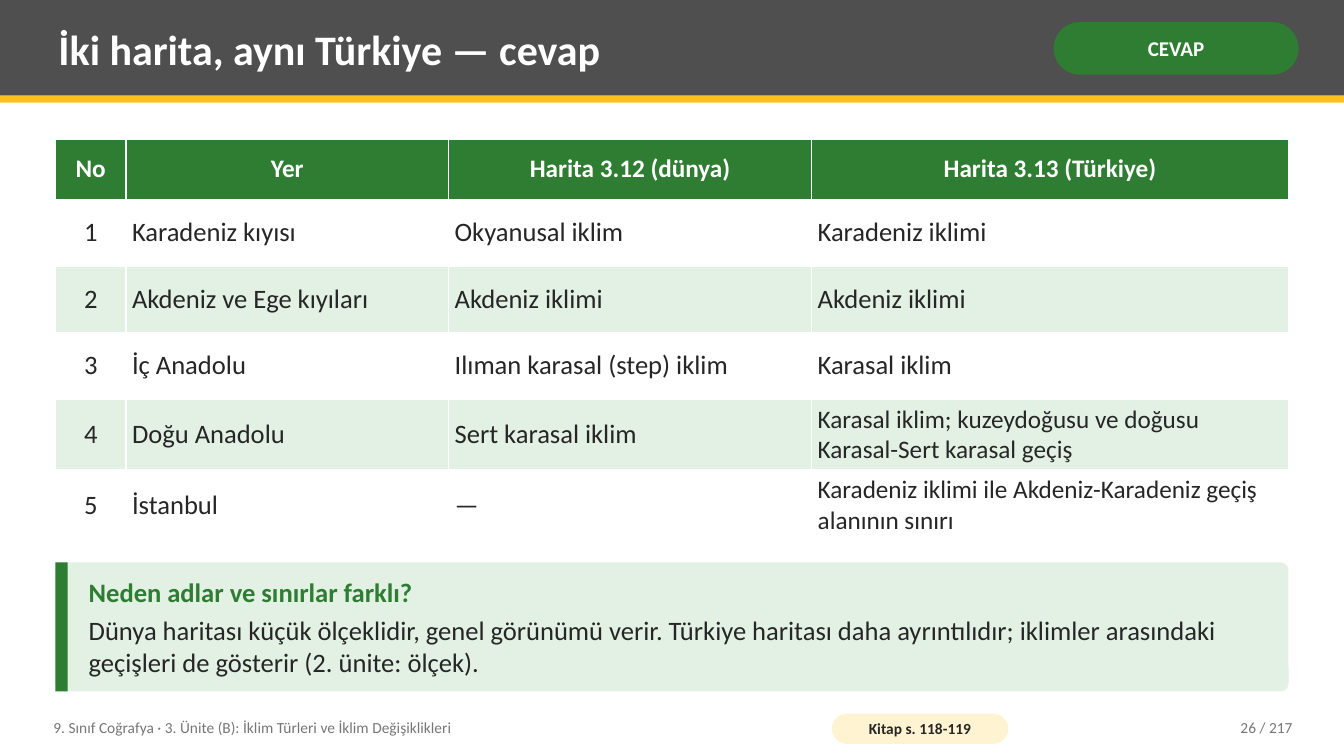
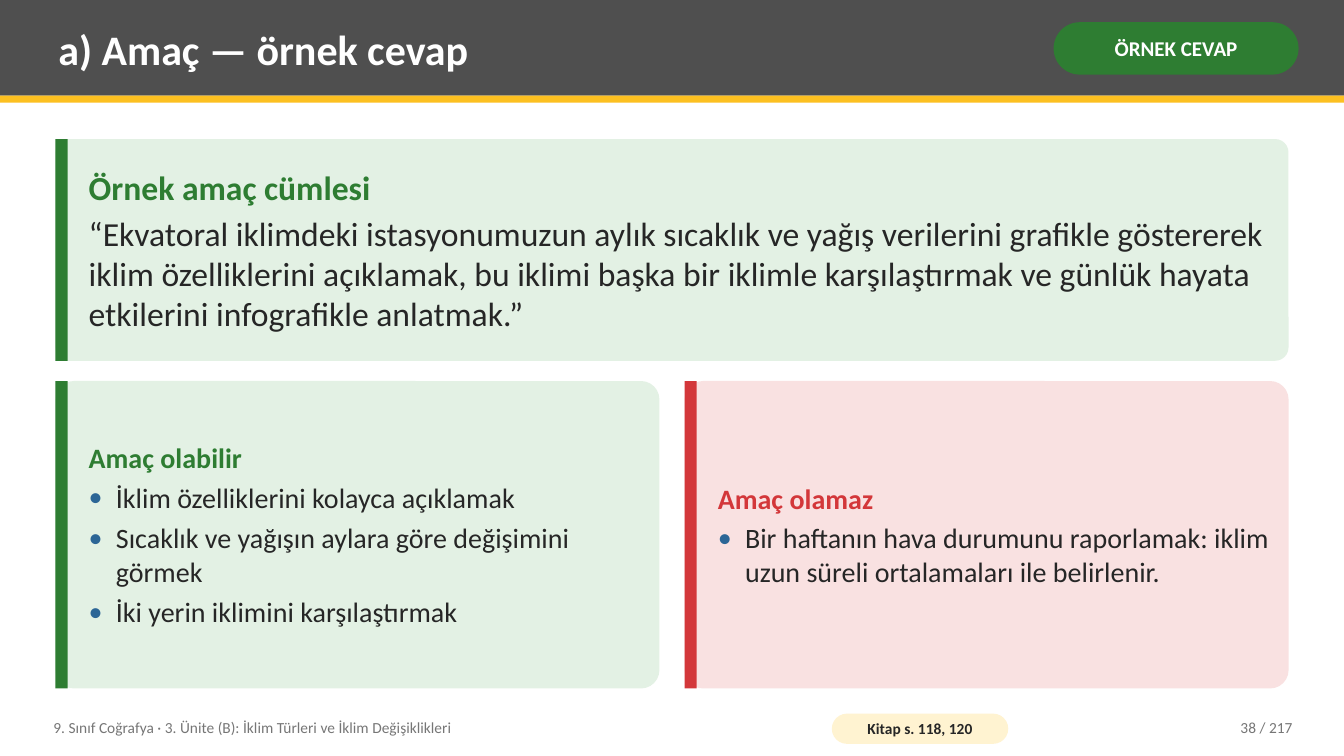
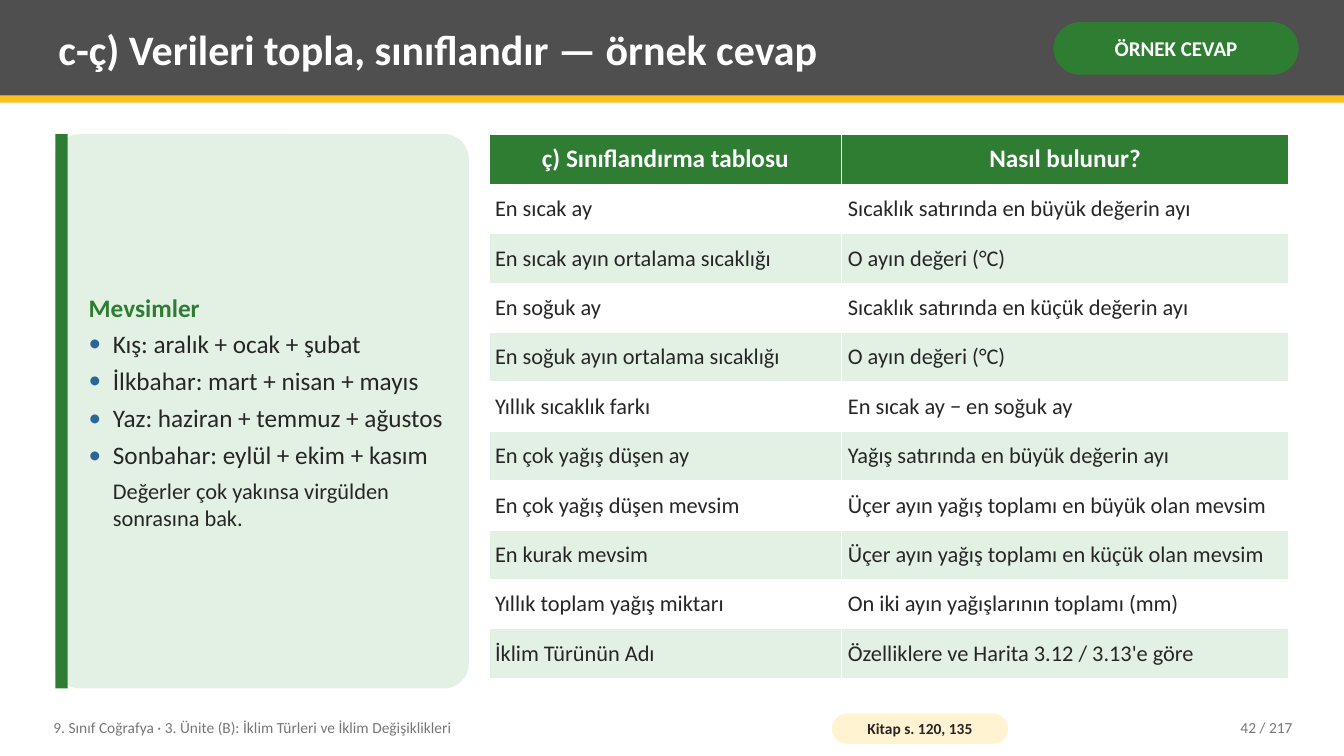
from dataclasses import dataclass

from lxml import etree
from pptx import Presentation
from pptx.dml.color import RGBColor
from pptx.enum.shapes import MSO_SHAPE
from pptx.enum.text import MSO_ANCHOR, PP_ALIGN
from pptx.oxml.ns import qn
from pptx.util import Emu, Pt

RECT, ROUNDED = MSO_SHAPE.RECTANGLE, MSO_SHAPE.ROUNDED_RECTANGLE
MIDDLE = MSO_ANCHOR.MIDDLE
LEFT, CENTER, RIGHT = PP_ALIGN.LEFT, PP_ALIGN.CENTER, PP_ALIGN.RIGHT


@dataclass(frozen=True)
class Theme:
    font: str = "Calibri"
    white: str = "FFFFFF"
    band: str = "4F4F4F"
    accent: str = "FCC021"
    ink: str = "262626"
    muted: str = "767676"
    bullet: str = "2C6696"
    green: str = "2E7D32"
    pale_green: str = "E3F1E4"
    red: str = "D3373A"
    pale_red: str = "F9E1E1"
    pale_yellow: str = "FFF3D1"
    title_size: int = 30
    badge_size: int = 15
    header_size: int = 18
    long_cell_size: int = 18
    note_size: int = 16
    footer_size: int = 11


THEME = Theme()
TONES = {"good": (THEME.green, THEME.pale_green), "bad": (THEME.red, THEME.pale_red)}

# Layout in px, 100 to the inch
EMU_PER_PX = 9144
SLIDE_W, SLIDE_H = 1333, 750
MARGIN, CONTENT_W = 55, 1223
COLUMN_GAP, TABLE_GAP = 25, 20
HALF_W = (CONTENT_W - COLUMN_GAP) // 2
SEASONS_W = 410
TEXT_INSETS, BADGE_INSETS = (8, 4), (5, 2)
PAGE_REF_INSETS, CELL_INSETS = (4, 0), (6, 5)
STRIPE_W = 12
CARD_RADIUS = 0.06
LONG_CELL = 50  # characters; longer cells use the smaller size
CELL_BORDER_PT = 0.96

# Content
COURSE = "9. Sınıf Coğrafya · 3. Ünite (B): İklim Türleri ve İklim Değişiklikleri"
PAGE_COUNT = 217

SLIDES = [
    {
        "title": "İki harita, aynı Türkiye — cevap",
        "badge": "CEVAP", "pages": "118-119", "number": 26,
        "tables": [{
            "at": (MARGIN, 138), "columns": (70, 320, 360, 473),
            "header_h": 60, "row_h": 66, "size": 19, "centered": {0},
            "rows": [
                ("No", "Yer", "Harita 3.12 (dünya)", "Harita 3.13 (Türkiye)"),
                ("1", "Karadeniz kıyısı", "Okyanusal iklim", "Karadeniz iklimi"),
                ("2", "Akdeniz ve Ege kıyıları", "Akdeniz iklimi", "Akdeniz iklimi"),
                ("3", "İç Anadolu", "Ilıman karasal (step) iklim", "Karasal iklim"),
                ("4", "Doğu Anadolu", "Sert karasal iklim",
                 "Karasal iklim; kuzeydoğusu ve doğusu Karasal-Sert karasal geçiş"),
                ("5", "İstanbul", "—",
                 "Karadeniz iklimi ile Akdeniz-Karadeniz geçiş alanının sınırı"),
            ],
        }],
        "cards": [{
            "at": (MARGIN, 558, CONTENT_W, 128), "tone": "good", "size": 19,
            "heading": "Neden adlar ve sınırlar farklı?",
            "body": "Dünya haritası küçük ölçeklidir, genel görünümü verir. "
                    "Türkiye haritası daha ayrıntılıdır; iklimler arasındaki "
                    "geçişleri de gösterir (2. ünite: ölçek).",
        }],
    },
    {
        "title": "a) Amaç — örnek cevap",
        "badge": "ÖRNEK CEVAP", "pages": "118, 120", "number": 38,
        "cards": [
            {
                "at": (MARGIN, 138, CONTENT_W, 220), "tone": "good", "size": 24,
                "heading": "Örnek amaç cümlesi",
                "body": "“Ekvatoral iklimdeki istasyonumuzun aylık sıcaklık ve yağış "
                        "verilerini grafikle göstererek iklim özelliklerini açıklamak, "
                        "bu iklimi başka bir iklimle karşılaştırmak ve günlük hayata "
                        "etkilerini infografikle anlatmak.”",
            },
            {
                "at": (MARGIN, 378, HALF_W, 305), "tone": "good", "size": 20,
                "heading": "Amaç olabilir",
                "bullets": ["İklim özelliklerini kolayca açıklamak",
                            "Sıcaklık ve yağışın aylara göre değişimini görmek",
                            "İki yerin iklimini karşılaştırmak"],
            },
            {
                "at": (MARGIN + HALF_W + COLUMN_GAP, 378, HALF_W, 305),
                "tone": "bad", "size": 20,
                "heading": "Amaç olamaz",
                "bullets": ["Bir haftanın hava durumunu raporlamak: iklim uzun "
                            "süreli ortalamaları ile belirlenir."],
            },
        ],
    },
    {
        "title": "c-ç) Verileri topla, sınıflandır — örnek cevap",
        "badge": "ÖRNEK CEVAP", "pages": "120, 135", "number": 42,
        "cards": [{
            "at": (MARGIN, 133, SEASONS_W, 550), "tone": "good", "size": 18,
            "heading": "Mevsimler",
            "bullets": ["Kış: aralık + ocak + şubat",
                        "İlkbahar: mart + nisan + mayıs",
                        "Yaz: haziran + temmuz + ağustos",
                        "Sonbahar: eylül + ekim + kasım"],
            "note": "Değerler çok yakınsa virgülden sonrasına bak.",
        }],
        "tables": [{
            "at": (MARGIN + SEASONS_W + TABLE_GAP, 133), "columns": (350, 443),
            "header_h": 50, "row_h": 49, "size": 16, "centered": set(),
            "rows": [
                ("ç) Sınıflandırma tablosu", "Nasıl bulunur?"),
                ("En sıcak ay", "Sıcaklık satırında en büyük değerin ayı"),
                ("En sıcak ayın ortalama sıcaklığı", "O ayın değeri (°C)"),
                ("En soğuk ay", "Sıcaklık satırında en küçük değerin ayı"),
                ("En soğuk ayın ortalama sıcaklığı", "O ayın değeri (°C)"),
                ("Yıllık sıcaklık farkı", "En sıcak ay − en soğuk ay"),
                ("En çok yağış düşen ay", "Yağış satırında en büyük değerin ayı"),
                ("En çok yağış düşen mevsim",
                 "Üçer ayın yağış toplamı en büyük olan mevsim"),
                ("En kurak mevsim", "Üçer ayın yağış toplamı en küçük olan mevsim"),
                ("Yıllık toplam yağış miktarı", "On iki ayın yağışlarının toplamı (mm)"),
                ("İklim Türünün Adı", "Özelliklere ve Harita 3.12 / 3.13'e göre"),
            ],
        }],
    },
]


def px(length):
    return Emu(length * EMU_PER_PX)


def rgb(color):
    return RGBColor.from_string(color)


def set_all(target, values):
    for name, value in values.items():
        setattr(target, name, value)


# Text
def margins(insets):
    across, down = map(px, insets)
    return {"margin_left": across, "margin_right": across,
            "margin_top": down, "margin_bottom": down}


def write(paragraph, text, size, color, bold=False, align=LEFT, after=0):
    set_all(paragraph, {"alignment": align, "space_after": Pt(after)})
    run = paragraph.add_run()
    run.text = text
    set_all(run.font, {"name": THEME.font, "size": Pt(size), "bold": bold})
    run.font.color.rgb = rgb(color)


def indent(paragraph, size, bullet=True):
    hang = px(round(size * 1.35))
    properties = paragraph._p.get_or_add_pPr()
    properties.set("marL", str(hang))
    properties.set("indent", str(-hang if bullet else 0))
    if bullet:
        color = etree.SubElement(properties, qn("a:buClr"))
        etree.SubElement(color, qn("a:srgbClr"), val=THEME.bullet)
        etree.SubElement(properties, qn("a:buFont"), typeface=THEME.font)
        etree.SubElement(properties, qn("a:buChar"), char="•")


def prepare_frame(shape, insets):
    frame = shape.text_frame
    set_all(frame, {"word_wrap": True, "vertical_anchor": MIDDLE, **margins(insets)})
    return frame


def add_text(slide, at, *text, **style):
    frame = prepare_frame(slide.shapes.add_textbox(*map(px, at)), TEXT_INSETS)
    if text:
        write(frame.paragraphs[0], *text, **style)
    return frame


# Shapes
def add_block(slide, at, fill, kind=RECT, radius=None):
    block = slide.shapes.add_shape(kind, *map(px, at))
    block.shadow.inherit = False
    block.fill.solid()
    block.fill.fore_color.rgb = rgb(fill)
    block.line.fill.background()
    if radius is not None:
        block.adjustments[0] = radius
    return block


def add_pill(slide, at, fill, insets, text, size, color):
    frame = prepare_frame(add_block(slide, at, fill, ROUNDED, 0.5), insets)
    write(frame.paragraphs[0], text, size, color, bold=True, align=CENTER)


def add_card(slide, card):
    left, top, width, height = card["at"]
    strong, pale = TONES[card["tone"]]
    size = card["size"]
    add_block(slide, card["at"], pale, ROUNDED, CARD_RADIUS)
    add_block(slide, (left, top, STRIPE_W, height), strong)
    frame = add_text(slide, (left + 25, top + 6, width - 35, height - 12))
    write(frame.paragraphs[0], card["heading"], size, strong, bold=True, after=4)
    if "body" in card:
        write(frame.add_paragraph(), card["body"], size, THEME.ink)
    for item in card.get("bullets", []):
        paragraph = frame.add_paragraph()
        indent(paragraph, size)
        write(paragraph, item, size, THEME.ink, after=5)
    if "note" in card:
        paragraph = frame.add_paragraph()
        indent(paragraph, size, bullet=False)
        write(paragraph, card["note"], THEME.note_size, THEME.ink)
    else:
        frame.paragraphs[-1].space_after = Pt(0)


# Tables
def add_borders(cell):
    properties = cell._tc.get_or_add_tcPr()
    for position, side in enumerate(("a:lnL", "a:lnR", "a:lnT", "a:lnB")):
        line = etree.Element(qn(side), w=str(Pt(CELL_BORDER_PT)))
        fill = etree.SubElement(line, qn("a:solidFill"))
        etree.SubElement(fill, qn("a:srgbClr"), val=THEME.white)
        properties.insert(position, line)


def fill_cell(cell, text, fill, size, color, bold, align):
    set_all(cell, {"vertical_anchor": MIDDLE, **margins(CELL_INSETS)})
    cell.fill.solid()
    cell.fill.fore_color.rgb = rgb(fill)
    add_borders(cell)
    write(cell.text_frame.paragraphs[0], text, size, color, bold, align)


def add_grid(slide, spec):
    rows, widths = spec["rows"], spec["columns"]
    heights = [spec["header_h"]] + [spec["row_h"]] * (len(rows) - 1)
    at = (*spec["at"], sum(widths), sum(heights))
    table = slide.shapes.add_table(len(rows), len(widths), *map(px, at)).table
    table.horz_banding = False
    for column, width in zip(table.columns, widths):
        column.width = px(width)
    for r, (row, height) in enumerate(zip(rows, heights)):
        table.rows[r].height = px(height)
        for c, text in enumerate(row):
            if r == 0:
                look = (THEME.green, THEME.header_size, THEME.white, True, CENTER)
            else:
                look = (THEME.white if r % 2 else THEME.pale_green,
                        THEME.long_cell_size if len(text) > LONG_CELL else spec["size"],
                        THEME.ink, False, CENTER if c in spec["centered"] else LEFT)
            fill_cell(table.cell(r, c), text, *look)


# Shared slide parts
def add_header(slide, title, badge):
    add_block(slide, (0, 0, SLIDE_W, 95), THEME.band)
    add_block(slide, (0, 95, SLIDE_W, 7), THEME.accent)
    add_text(slide, (50, 7, 975, 82), title, THEME.title_size, THEME.white, bold=True)
    add_pill(slide, (1045, 22, 243, 52), THEME.green, BADGE_INSETS,
             badge, THEME.badge_size, THEME.white)


def add_footer(slide, pages, number):
    add_text(slide, (45, 704, 760, 36), COURSE, THEME.footer_size, THEME.muted)
    add_pill(slide, (825, 708, 175, 30), THEME.pale_yellow, PAGE_REF_INSETS,
             f"Kitap s. {pages}", THEME.footer_size, THEME.ink)
    add_text(slide, (1130, 704, 160, 36), f"{number} / {PAGE_COUNT}",
             THEME.footer_size, THEME.muted, align=RIGHT)


def main():
    deck = Presentation()
    set_all(deck, {"slide_width": px(SLIDE_W), "slide_height": px(SLIDE_H)})
    for content in SLIDES:
        slide = deck.slides.add_slide(deck.slide_layouts[6])
        add_header(slide, content["title"], content["badge"])
        for card in content.get("cards", []):
            add_card(slide, card)
        for grid in content.get("tables", []):
            add_grid(slide, grid)
        add_footer(slide, content["pages"], content["number"])
    deck.save("out.pptx")


if __name__ == "__main__":
    main()
